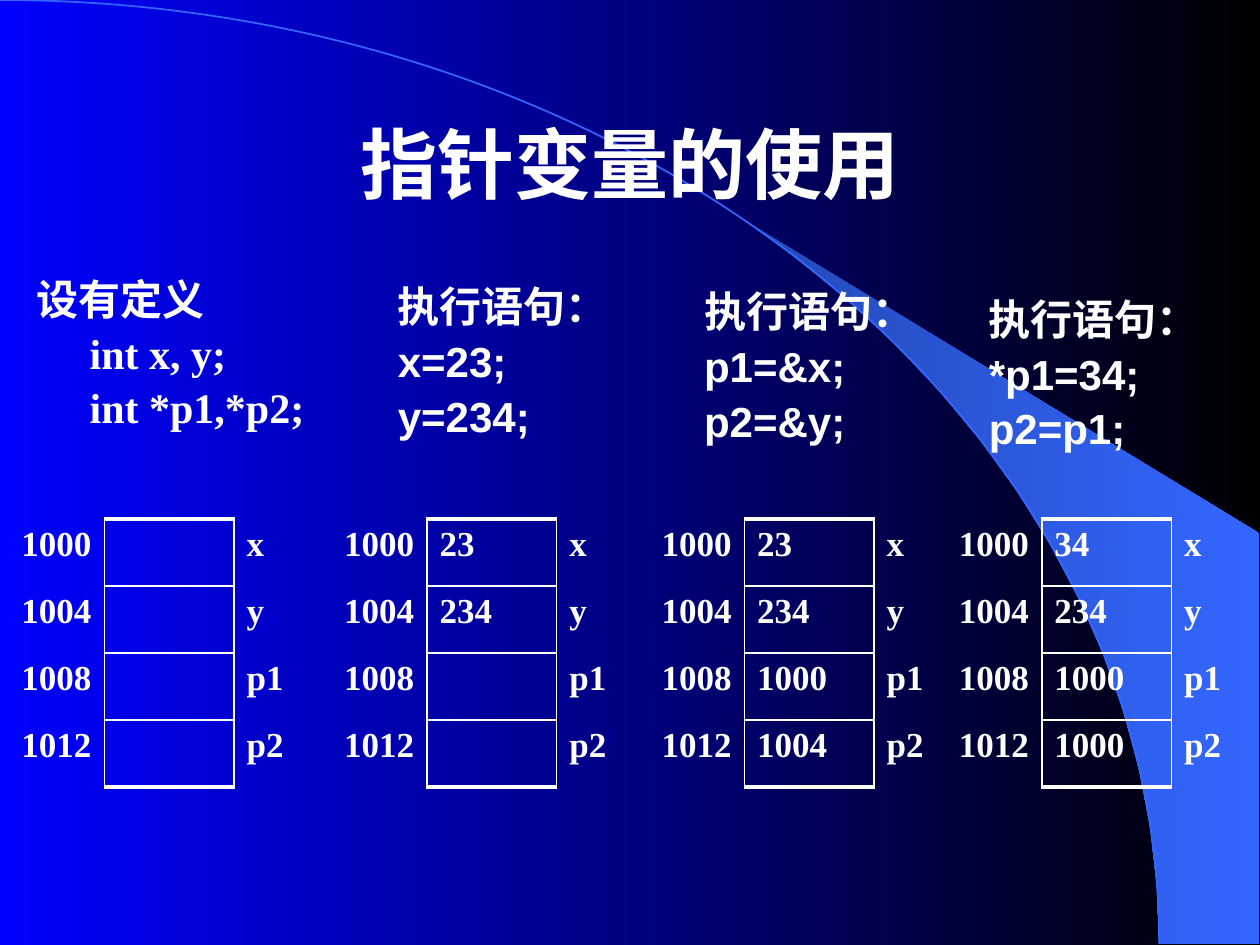
import math
from lxml import etree
from pptx import Presentation, util as u
from pptx.dml.color import RGBColor
from pptx.enum import text
from pptx.oxml import ns

WHITE = RGBColor(0xFF, 0xFF, 0xFF)
BLUE = RGBColor(0x00, 0x00, 0xFF)
BLACK = RGBColor(0x00, 0x00, 0x00)
SKY = RGBColor(0x33, 0x66, 0xFF)
DEEP_SKY = RGBColor(0x24, 0x49, 0xB6)

SANS, SERIF = "Arial", "Times New Roman"
ARC_WIDTH, ARC_HEIGHT = 662.4, 539.3
ARC_CONTROLS = [(365.8, 0), (ARC_WIDTH, 241.2), (ARC_WIDTH, ARC_HEIGHT)]
WEDGE_START = math.asin(0.64)
RIGHT_EDGE = 719.3
TABLE_TOP = 296.6
ROW_HEIGHT = 38.3
COLUMN_WIDTHS = (54.6, 74.1, 41)
ADDRESSES = ("1000", "1004", "1008", "1012")
VARIABLES = ("x", "y", "p1", "p2")

STEPS = [
    (220.3, 157, ("执行语句：", "x=23;", "y=234;")),
    (395.3, 159.8, ("执行语句：", "p1=&x;", "p2=&y;")),
    (558, 164.2, ("执行语句：", "*p1=34;", "p2=p1;")),
]
MEMORY = [
    (5, ("", "", "", "")),
    (189.4, ("23", "234", "", "")),
    (370.8, ("23", "234", "1000", "1004")),
    (540.7, ("34", "234", "1000", "1000")),
]


def arc_points(start, steps=14):
    angles = (start + (math.pi / 2 - start) * i / steps for i in range(steps + 1))
    return [(ARC_WIDTH * math.sin(a), ARC_HEIGHT * (1 - math.cos(a))) for a in angles]


class SlideBuilder:
    def __init__(self, slide, color=WHITE, border=1, heavy_border=2.25):
        self.slide = slide
        self.color = color
        self.border = border
        self.heavy_border = heavy_border

    def gradient(self, fill, *colors):
        fill.gradient()
        fill.gradient_angle = 0
        for stop, color in zip(fill.gradient_stops, colors):
            stop.color.rgb = color

    def outline(self, points, close):
        points = [(u.Pt(x), u.Pt(y)) for x, y in points]
        builder = self.slide.shapes.build_freeform(*points[0])
        builder.add_line_segments(points[1:], close=close)
        shape = builder.convert_to_shape()
        shape.shadow.inherit = False
        return shape

    def wedge(self, points, *colors):
        shape = self.outline(points, True)
        self.gradient(shape.fill, *colors)
        shape.line.fill.background()

    def curve(self, controls, color):
        shape = self.outline([(0, 0), controls[-1]], False)
        segment = next(shape._element.iter(ns.qn("a:lnTo")))
        bezier = etree.Element(ns.qn("a:cubicBezTo"))
        for x, y in controls:
            etree.SubElement(bezier, ns.qn("a:pt"), x=str(u.Pt(x)), y=str(u.Pt(y)))
        segment.getparent().replace(segment, bezier)
        shape.fill.background()
        shape.line.color.rgb = color
        shape.line.width = u.Pt(1)

    def format(self, paragraph, size, font):
        for run in paragraph.runs:
            run.font.size = u.Pt(size)
            run.font.name = font
            run.font.bold = True
            run.font.color.rgb = self.color

    def text_box(self, left, top, width, height, lines, size=24, font=SANS,
                 space=2.4, line_spacing=1.0, code_indent=0):
        shape = self.slide.shapes.add_textbox(*map(u.Pt, (left, top, width, height)))
        frame = shape.text_frame
        frame.word_wrap = True
        frame.text = "\n".join(lines)
        for index, paragraph in enumerate(frame.paragraphs):
            paragraph.space_before = u.Pt(space)
            paragraph.line_spacing = line_spacing
            if index and code_indent:
                paragraph._p.get_or_add_pPr().set("marL", str(u.Pt(code_indent)))
            self.format(paragraph, size, font)
        return frame

    def title(self, left, top, width, height, line):
        frame = self.text_box(left, top, width, height, [line], size=44, space=0)
        frame.vertical_anchor = text.MSO_ANCHOR.MIDDLE
        frame.paragraphs[0].alignment = text.PP_ALIGN.CENTER

    def cell_borders(self, cell, widths):
        properties = cell._tc.get_or_add_tcPr()
        for side in "LRTB":
            width = widths.get(side, 0)
            line = etree.SubElement(properties, ns.qn(f"a:ln{side}"), w=str(u.Pt(width)))
            if width:
                fill = etree.SubElement(line, ns.qn("a:solidFill"))
                etree.SubElement(fill, ns.qn("a:srgbClr"), val=str(self.color))
            else:
                etree.SubElement(line, ns.qn("a:noFill"))

    def memory_table(self, left, values):
        rows = list(zip(ADDRESSES, values, VARIABLES))
        table = self.slide.shapes.add_table(
            len(rows), len(COLUMN_WIDTHS), u.Pt(left), u.Pt(TABLE_TOP),
            u.Pt(sum(COLUMN_WIDTHS)), u.Pt(ROW_HEIGHT * len(rows))).table
        table.first_row = table.horz_banding = False
        for column, width in zip(table.columns, COLUMN_WIDTHS):
            column.width = u.Pt(width)
        for r, row in enumerate(rows):
            table.rows[r].height = u.Pt(ROW_HEIGHT)
            box = dict.fromkeys("LRTB", self.border)
            if r == 0:
                box["T"] = self.heavy_border
            if r == len(rows) - 1:
                box["B"] = self.heavy_border
            borders = ({"R": self.border}, box, {"L": self.border})
            for c, (value, widths) in enumerate(zip(row, borders)):
                cell = table.cell(r, c)
                self.cell_borders(cell, widths)
                cell.fill.background()
                if value:
                    cell.text_frame.text = value
                    paragraph = cell.text_frame.paragraphs[0]
                    paragraph.space_before = u.Pt(4)
                    self.format(paragraph, 20, SERIF)


def main():
    presentation = Presentation()
    presentation.slide_width, presentation.slide_height = u.Pt(720), u.Pt(540)
    slide = presentation.slides.add_slide(presentation.slide_layouts[6])
    builder = SlideBuilder(slide)

    builder.gradient(slide.background.fill, BLUE, BLACK)
    corners = [(RIGHT_EDGE, ARC_HEIGHT), (RIGHT_EDGE, 304.6)]
    builder.wedge(arc_points(WEDGE_START) + corners, DEEP_SKY, SKY)
    builder.curve(ARC_CONTROLS, SKY)

    builder.title(54, 48.2, 612, 90, "指针变量的使用")
    builder.text_box(14, 156.2, 175.7, 95.8,
                     ("设有定义", "int x, y;", "int *p1,*p2;"),
                     font=SERIF, space=4.8, line_spacing=0.9, code_indent=30.2)
    for left, top, lines in STEPS:
        builder.text_box(left, top, 139.7, 99.4, lines)
    for left, values in MEMORY:
        builder.memory_table(left, values)

    presentation.save("out.pptx")


if __name__ == "__main__":
    main()
